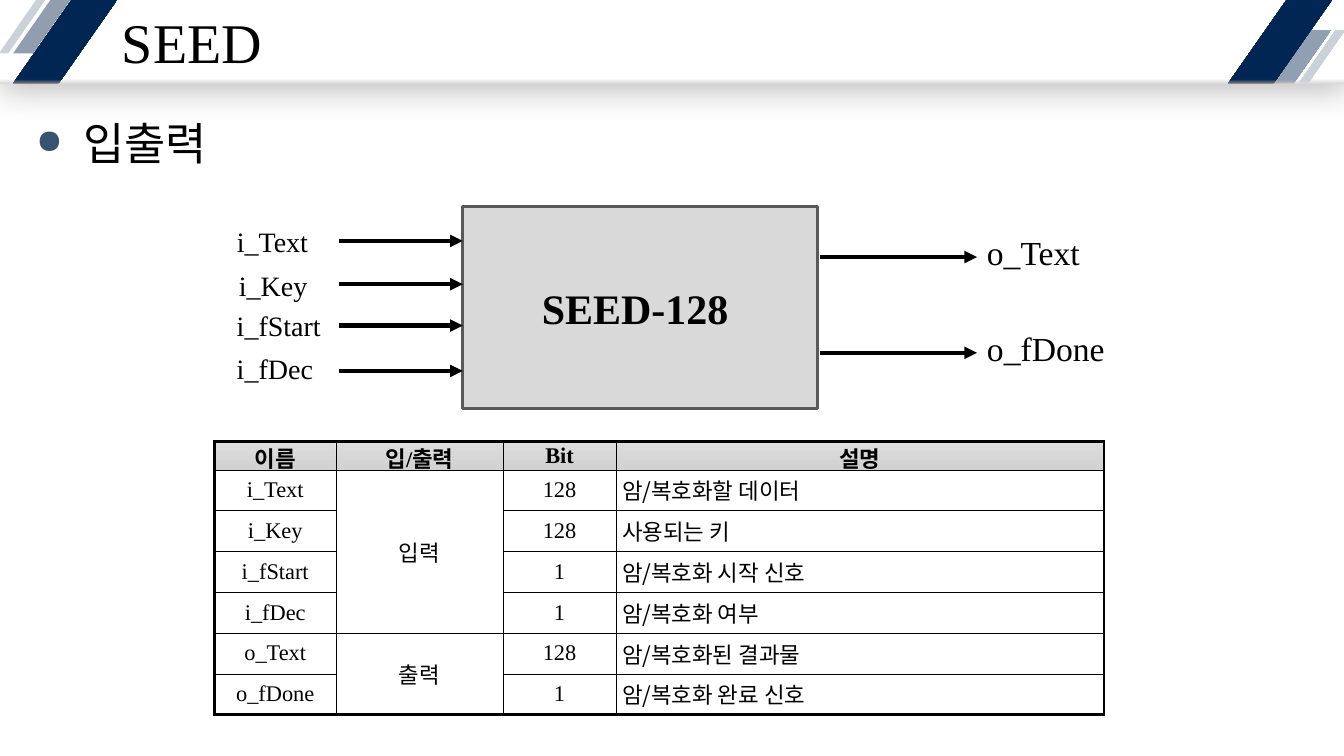
from pptx import Presentation
from pptx.dml.color import RGBColor
from pptx.enum.shapes import MSO_CONNECTOR as Connector, MSO_SHAPE as Shape
from pptx.enum.text import MSO_ANCHOR as Anchor, MSO_AUTO_SIZE as AutoSize, PP_ALIGN as Align
from pptx.oxml.ns import qn
from pptx.util import Inches, Pt
from lxml.etree import SubElement, Element

BLACK = RGBColor(0x00, 0x00, 0x00)
WHITE = RGBColor(0xFF, 0xFF, 0xFF)
NAVY = RGBColor(0x02, 0x26, 0x53)
SLATE = RGBColor(0x7A, 0x8B, 0xA1)
STEEL = RGBColor(0x90, 0x9F, 0xB1)
MIST = RGBColor(0xCA, 0xD1, 0xD9)
BULLET = RGBColor(0x38, 0x52, 0x71)
SHADOW = RGBColor(0x76, 0x71, 0x71)
BORDER = RGBColor(0x59, 0x59, 0x59)
GRAY = RGBColor(0x80, 0x80, 0x80)
SILVER = RGBColor(0xBF, 0xBF, 0xBF)
LIGHT = RGBColor(0xD9, 0xD9, 0xD9)
HEAD_TOP = RGBColor(0xDD, 0xDD, 0xDD)
HEAD_BOTTOM = RGBColor(0xD2, 0xD2, 0xD2)
SERIF = "Times New Roman"
SANS = "Noto Sans CJK KR"

HEADINGS = ["이름", "입/출력", "Bit", "설명"]
SIGNALS = [
    ("i_Text", "입력", "128", "암/복호화할 데이터"),
    ("i_Key", "", "128", "사용되는 키"),
    ("i_fStart", "", "1", "암/복호화 시작 신호"),
    ("i_fDec", "", "1", "암/복호화 여부"),
    ("o_Text", "출력", "128", "암/복호화된 결과물"),
    ("o_fDone", "", "1", "암/복호화 완료 신호"),
]
DIRECTION_SPANS = [(1, 4), (5, 6)]
COLUMN_WIDTHS = [1.2, 1.66, 1.12, 4.84]
TABLE_HEIGHT = 2.71
HEAD_HEIGHT = 0.28
INPUTS = [("i_Text", 2.25, 2.18, 0.91, 2.39), ("i_Key", 2.27, 2.61, 0.89, 2.82),
          ("i_fStart", 2.25, 3.01, 1.04, 3.23), ("i_fDec", 2.25, 3.44, 0.96, 3.68)]
OUTPUTS = [("o_Text", 2.25, 1.13, 2.55), ("o_fDone", 3.2, 1.38, 3.5)]


def add_color(parent, color, alpha=None):
    node = SubElement(parent, qn("a:srgbClr"), val=str(color))
    if alpha:
        SubElement(node, qn("a:alpha"), val=str(alpha * 1000))


def fill_gradient(fill, properties, stops, angle):
    fill.gradient()
    fill.gradient_angle = angle
    stop_list = properties.find(".//" + qn("a:gsLst"))
    for stop in list(stop_list):
        stop_list.remove(stop)
    for position, color in stops:
        add_color(SubElement(stop_list, qn("a:gs"), pos=str(position * 1000)), color)


def add_plain_shape(page, kind, left, top, width, height):
    shape = page.shapes.add_shape(kind, Inches(left), Inches(top), Inches(width), Inches(height))
    shape.shadow.inherit = False
    shape.line.fill.background()
    return shape


def add_stripe(page, left, top, width, height, slant, color, edge=None, edge_end=5, alpha=None):
    stripe = add_plain_shape(page, Shape.PARALLELOGRAM, left, top, width, height)
    stripe.adjustments[0] = slant
    if edge:
        stops = [(0, edge), (edge_end, color), (100, color)]
        fill_gradient(stripe.fill, stripe._element.spPr, stops, 90)
        return
    stripe.fill.solid()
    stripe.fill.fore_color.rgb = color
    if alpha:
        node = stripe._element.spPr.find(".//" + qn("a:srgbClr"))
        SubElement(node, qn("a:alpha"), val=str(alpha * 1000))


def add_header(page):
    bar = add_plain_shape(page, Shape.RECTANGLE, 0, 0, 13.33, 0.83)
    properties = bar._element.spPr
    fill_gradient(bar.fill, properties, [(0, LIGHT), (6, WHITE), (100, WHITE)], 90)
    shadow = SubElement(properties.find(qn("a:effectLst")), qn("a:outerShdw"),
                        blurRad=str(Pt(24)), dist=str(Pt(3)), dir=str(80 * 60000),
                        algn="t", rotWithShape="0")
    add_color(shadow, SHADOW, 50)
    add_stripe(page, 0.13, 0, 0.57, 0.53, 0.7, SLATE, alpha=83)
    add_stripe(page, 0.13, 0, 1.03, 0.83, 0.7, NAVY, GRAY)
    add_stripe(page, -0.01, 0, 0.46, 0.53, 0.8, MIST)
    add_stripe(page, 12.63, 0.3, 0.57, 0.53, 0.7, STEEL, SILVER, 7)
    add_stripe(page, 12.18, 0, 1.03, 0.83, 0.7, NAVY, GRAY)
    add_stripe(page, 12.88, 0.3, 0.46, 0.53, 0.8, MIST, LIGHT, 6)


def set_margins(target, left, top, right, bottom):
    target.margin_left, target.margin_top = Inches(left), Inches(top)
    target.margin_right, target.margin_bottom = Inches(right), Inches(bottom)


def write_text(frame, text, size, font=SERIF, bold=False, align=Align.LEFT):
    frame.text = text
    para = frame.paragraphs[0]
    para.alignment = align
    for span in para.runs:
        span.font.size = Pt(size)
        span.font.name = font
        span.font.bold = bold
        span.font.color.rgb = BLACK
        SubElement(span.font._element, qn("a:ea"), typeface=SANS)
    return para


def add_text(page, text, left, top, width, height, size):
    box = page.shapes.add_textbox(Inches(left), Inches(top), Inches(width), Inches(height))
    box.text_frame.word_wrap = True
    return box.text_frame, write_text(box.text_frame, text, size)


def add_label(page, text, left, top, width, height, size):
    frame = add_text(page, text, left, top, width, height, size)[0]
    frame.word_wrap = False
    frame.auto_size = AutoSize.SHAPE_TO_FIT_TEXT


def add_title(page):
    frame, para = add_text(page, "SEED", 0.15, 0, 8.76, 0.83, 40)
    frame.vertical_anchor = Anchor.MIDDLE
    set_margins(frame, 1.06, 0.12, 1.06, 0.04)
    para.line_spacing = 0.9


def add_bullet(page):
    para = add_text(page, "입출력", 0.26, 1.16, 12.9, 5.59, 32)[1]
    para.line_spacing = 0.9
    para.space_before = Pt(10)
    properties = para._p.get_or_add_pPr()
    properties.set("marL", str(Inches(0.47)))
    properties.set("indent", str(-Inches(0.47)))
    add_color(SubElement(properties, qn("a:buClr")), BULLET)
    SubElement(properties, qn("a:buSzPct"), val="75000")
    SubElement(properties, qn("a:buChar"), char="●")


def add_arrow(page, start, end, height):
    arrow = page.shapes.add_connector(Connector.STRAIGHT, Inches(start), Inches(height),
                                      Inches(end), Inches(height))
    arrow.line.color.rgb = BLACK
    arrow.line.width = Pt(3)
    SubElement(arrow.line._get_or_add_ln(), qn("a:tailEnd"), type="triangle")
    SubElement(arrow._element.spPr, qn("a:effectLst"))


def add_diagram(page):
    block = add_plain_shape(page, Shape.RECTANGLE, 4.59, 2.05, 3.52, 2)
    block.fill.solid()
    block.fill.fore_color.rgb = LIGHT
    block.line.color.rgb = BORDER
    block.line.width = Pt(2.25)
    frame = block.text_frame
    frame.vertical_anchor = Anchor.MIDDLE
    set_margins(frame, 0.1, 0.05, 0.2, 0.05)
    write_text(frame, "SEED-128", 30, bold=True, align=Align.CENTER)
    for name, left, top, width, height in INPUTS:
        add_label(page, name, left, top, width, 0.44, 20)
        add_arrow(page, 3.36, 4.59, height)
    for name, top, width, height in OUTPUTS:
        add_label(page, name, 9.69, top, width, 0.5, 24)
        add_arrow(page, 8.13, 9.69, height)


def set_borders(cell, widths):
    properties = cell._tc.get_or_add_tcPr()
    for index, (side, width) in enumerate(zip("LRTB", widths)):
        line = Element(qn("a:ln" + side), w=str(Pt(width)))
        add_color(SubElement(line, qn("a:solidFill")), BLACK)
        properties.insert(index, line)


def add_signal_table(page):
    rows = [HEADINGS, *SIGNALS]
    last_row, last_column = len(rows) - 1, len(HEADINGS) - 1
    table = page.shapes.add_table(len(rows), len(HEADINGS), Inches(2.13), Inches(4.38),
                                  Inches(8.82), Inches(TABLE_HEIGHT)).table
    signal_height = (TABLE_HEIGHT - HEAD_HEIGHT) / len(SIGNALS)
    for column, width in zip(table.columns, COLUMN_WIDTHS):
        column.width = Inches(width)
    for first, last in DIRECTION_SPANS:
        table.cell(first, 1).merge(table.cell(last, 1))
    for r, values in enumerate(rows):
        table.rows[r].height = Inches(signal_height if r else HEAD_HEIGHT)
        for c, text in enumerate(values):
            cell = table.cell(r, c)
            described = r > 0 and c == last_column
            cell.vertical_anchor = Anchor.MIDDLE
            set_margins(cell, 0.06 if described else 0, 0, 0, 0)
            write_text(cell.text_frame, text, 16, SANS if described else SERIF, r == 0,
                       Align.LEFT if described else Align.CENTER)
            if r == 0:
                fill_gradient(cell.fill, cell._tc.get_or_add_tcPr(),
                              [(0, HEAD_TOP), (100, HEAD_BOTTOM)], 270)
            else:
                cell.fill.solid()
                cell.fill.fore_color.rgb = WHITE
            bottom = r + (cell.span_height if cell.is_merge_origin else 1) - 1
            outer = (c == 0, c == last_column, r == 0, bottom == last_row)
            set_borders(cell, [2.25 if edge else 0.25 for edge in outer])


def main():
    deck = Presentation()
    deck.slide_width, deck.slide_height = Inches(13.33), Inches(7.5)
    page = deck.slides.add_slide(deck.slide_layouts[6])
    add_header(page)
    add_title(page)
    add_diagram(page)
    add_signal_table(page)
    add_bullet(page)
    deck.save("out.pptx")


if __name__ == "__main__":
    main()
